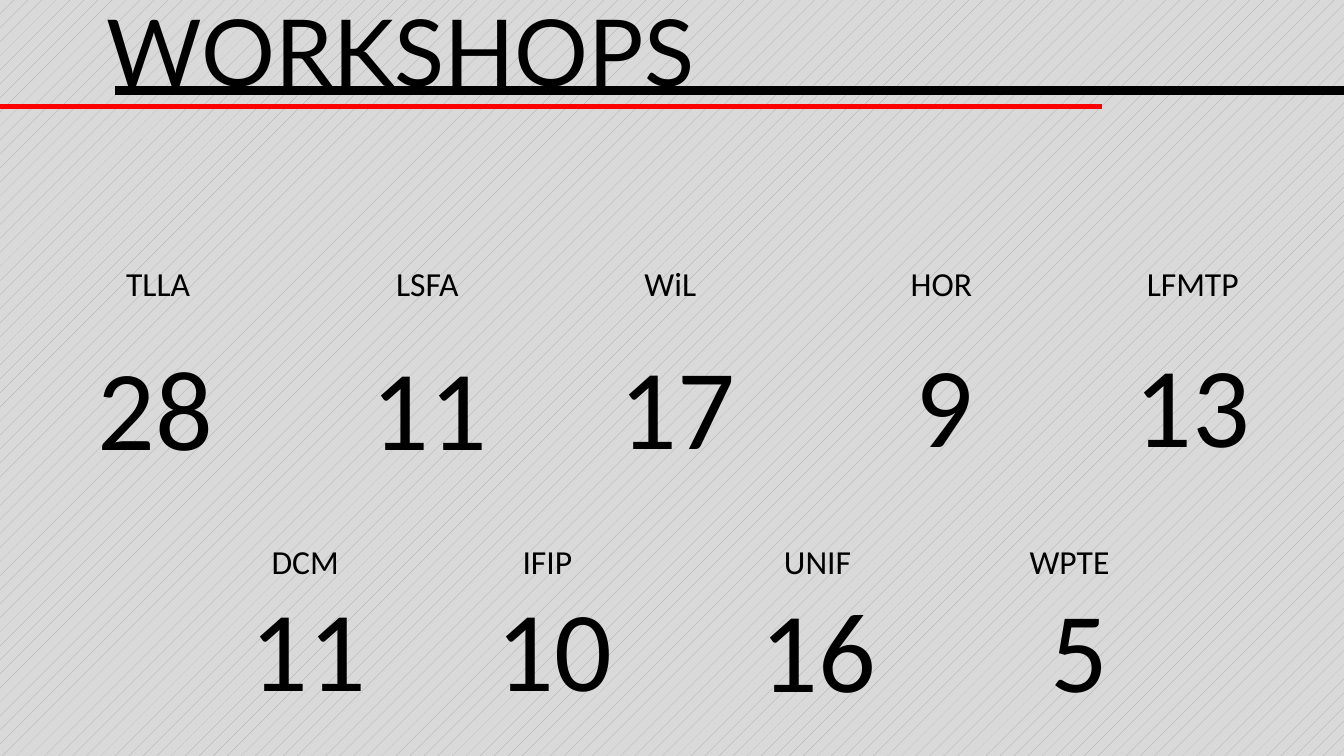
from lxml import etree
from pptx import Presentation
from pptx import util as u
from pptx.dml.color import RGBColor
from pptx.enum import dml, shapes, text
from pptx.oxml.ns import qn

SLIDE_WIDTH, SLIDE_HEIGHT = 960, 540
LABEL_SIZE = (165.6, 41)
COUNT_SIZE = (126.7, 91.4)

# name, label centre, count, count centre, count offset
UPPER_WORKSHOPS = [
    ("TLLA", 113, "28", 110.9, 68.4),
    ("LSFA", 305.3, "11", 306.7, 68.4),
    ("WiL", 478.8, "17", 483.8, 67.7),
    ("HOR", 672.5, "9", 674.6, 66.2),
    ("LFMTP", 852, "13", 851.8, 66.2),
]
LOWER_WORKSHOPS = [
    ("DCM", 218, "11", 220.3, 41.8),
    ("IFIP", 391, "10", 396, 41.8),
    ("UNIF", 584, "16", 584.6, 42.4),
    ("WPTE", 764, "5", 771, 42.4),
]


def colour(hex_code):
    """Return the RGB colour for a hex string."""
    return RGBColor.from_string(hex_code)


def format_words(frame, words, font, size, spacing):
    """Write one paragraph and format its run."""
    frame.text = words
    paragraph = frame.paragraphs[0]
    paragraph.line_spacing = spacing
    run = paragraph.runs[0]
    run.font.name, run.font.size = font, u.Pt(size)
    run.font.color.rgb = colour("000000")
    return paragraph


def add_rule(slide, left, right, top, hex_code, weight):
    """Draw a horizontal rule without a shadow."""
    rule = slide.shapes.add_connector(
        shapes.MSO_CONNECTOR.STRAIGHT, u.Pt(left), u.Pt(top), u.Pt(right), u.Pt(top))
    rule.line.color.rgb = colour(hex_code)
    rule.line.width = u.Pt(weight)
    etree.SubElement(rule._element.spPr, qn("a:effectLst"))


def add_centred(slide, words, centre, top, box_size, size, spacing):
    """Place centred words around a horizontal centre."""
    width, height = box_size
    box = slide.shapes.add_textbox(
        u.Pt(centre - width / 2), u.Pt(top), u.Pt(width), u.Pt(height))
    box.text_frame.word_wrap = True
    paragraph = format_words(box.text_frame, words, "Calibri", size, spacing)
    paragraph.alignment = text.PP_ALIGN.CENTER
    paragraph.space_before = u.Pt(10)


def build_header(slide, left, top, width, height):
    """Place the title in its box and the two rules beneath it."""
    title = slide.shapes.title
    title.left, title.top = u.Pt(left), u.Pt(top)
    title.width, title.height = u.Pt(width), u.Pt(height)
    frame = title.text_frame
    frame.vertical_anchor = text.MSO_ANCHOR.BOTTOM
    frame.auto_size = text.MSO_AUTO_SIZE.NONE
    paragraph = format_words(frame, "WORKSHOPS", "Lato", 66, 0.9)
    paragraph.alignment = text.PP_ALIGN.LEFT
    bottom = top + height
    add_rule(slide, 0, 787, bottom - 3.6, "FF0000", 3.5)
    add_rule(slide, left + 13, SLIDE_WIDTH, bottom - 15.1, "000000", 6.25)


def build_workshops(slide, top, workshops):
    """Place a row of workshop names with their counts below."""
    for name, name_centre, count, count_centre, offset in workshops:
        add_centred(slide, name, name_centre, top, LABEL_SIZE, 24, 0.9)
        add_centred(slide, count, count_centre, top + offset, COUNT_SIZE, 81.4, 0.8)


def build_slide(deck):
    """Build the workshop slide on its patterned background."""
    slide = deck.slides.add_slide(deck.slide_layouts.get_by_name("Title Only"))
    fill = slide.background.fill
    fill.patterned()
    fill.pattern = dml.MSO_PATTERN.PERCENT_5
    fill.fore_color.rgb = colour("A6A6A6")
    fill.back_color.rgb = colour("D9D9D9")
    build_header(slide, 69.1, -108, 455.8, 187.9)
    build_workshops(slide, 187.2, UPPER_WORKSHOPS)
    build_workshops(slide, 385.9, LOWER_WORKSHOPS)


deck = Presentation()
deck.slide_width, deck.slide_height = u.Pt(SLIDE_WIDTH), u.Pt(SLIDE_HEIGHT)
build_slide(deck)
deck.save("out.pptx")
